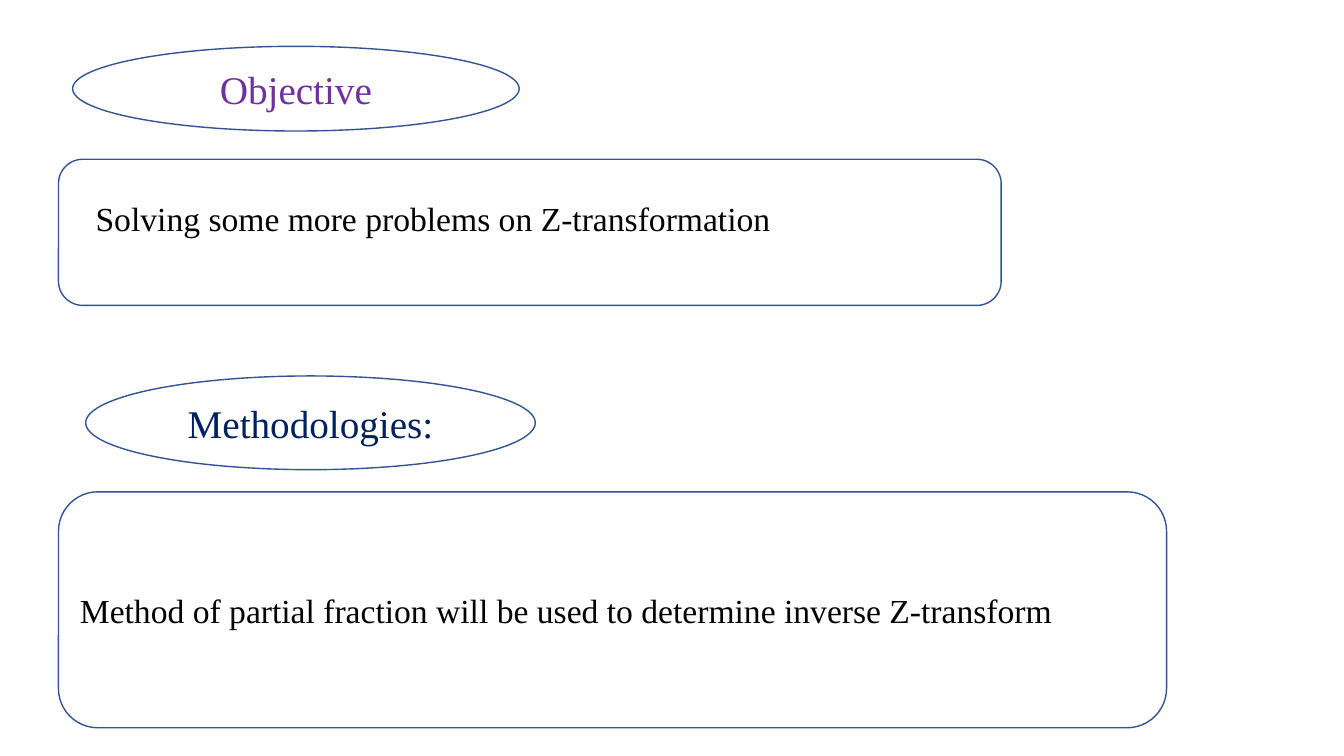
from pptx import Presentation
from pptx.dml.color import RGBColor
from pptx.enum import shapes, text
from pptx.util import Inches, Pt

BLUE = RGBColor(0x32, 0x54, 0x91)
PURPLE = RGBColor(0x70, 0x30, 0xA0)
NAVY = RGBColor(0x00, 0x20, 0x60)
BLACK = RGBColor(0, 0, 0)
FONT = "Times New Roman"


def write(shape, words, size, color, align):
    """Put one styled paragraph into a shape."""
    frame = shape.text_frame
    frame.text = words
    frame.word_wrap = True
    para = frame.paragraphs[0]
    para.alignment = align
    font = para.runs[0].font
    font.name = FONT
    font.size = Pt(size)
    font.color.rgb = color


def outline(slide, kind, box):
    """Add an unfilled shape with a thin blue line."""
    shape = slide.shapes.add_shape(kind, *map(Inches, box))
    shape.shadow.inherit = False
    shape.fill.background()
    shape.line.color.rgb = BLUE
    shape.line.width = Pt(1)
    shape.text_frame.vertical_anchor = text.MSO_ANCHOR.MIDDLE
    return shape


def heading(slide, words, color, box):
    """Add an oval heading."""
    oval = outline(slide, shapes.MSO_SHAPE.OVAL, box)
    write(oval, words, 28, color, text.PP_ALIGN.CENTER)


def panel(slide, box):
    """Add a rounded panel."""
    return outline(slide, shapes.MSO_SHAPE.ROUNDED_RECTANGLE, box)


def body(shape, words):
    """Write justified body text."""
    write(shape, words, 24, BLACK, text.PP_ALIGN.JUSTIFY)


def main():
    """Build the slide and save it."""
    deck = Presentation()
    deck.slide_width = Inches(13.33)
    deck.slide_height = Inches(7.5)
    slide = deck.slides.add_slide(deck.slide_layouts[6])

    heading(slide, "Objective", PURPLE, (0.72, 0.46, 4.43, 0.84))
    panel(slide, (0.58, 1.58, 9.35, 1.45))
    goal = slide.shapes.add_textbox(*map(Inches, (0.85, 1.91, 8.47, 0.5)))
    body(goal, "Solving some more problems on Z-transformation")

    heading(slide, "Methodologies:", NAVY, (0.85, 3.73, 4.46, 0.93))
    method = panel(slide, (0.58, 4.88, 10.99, 2.34))
    body(method, "Method of partial fraction will be used to determine inverse Z-transform")

    deck.save("out.pptx")


if __name__ == "__main__":
    main()
